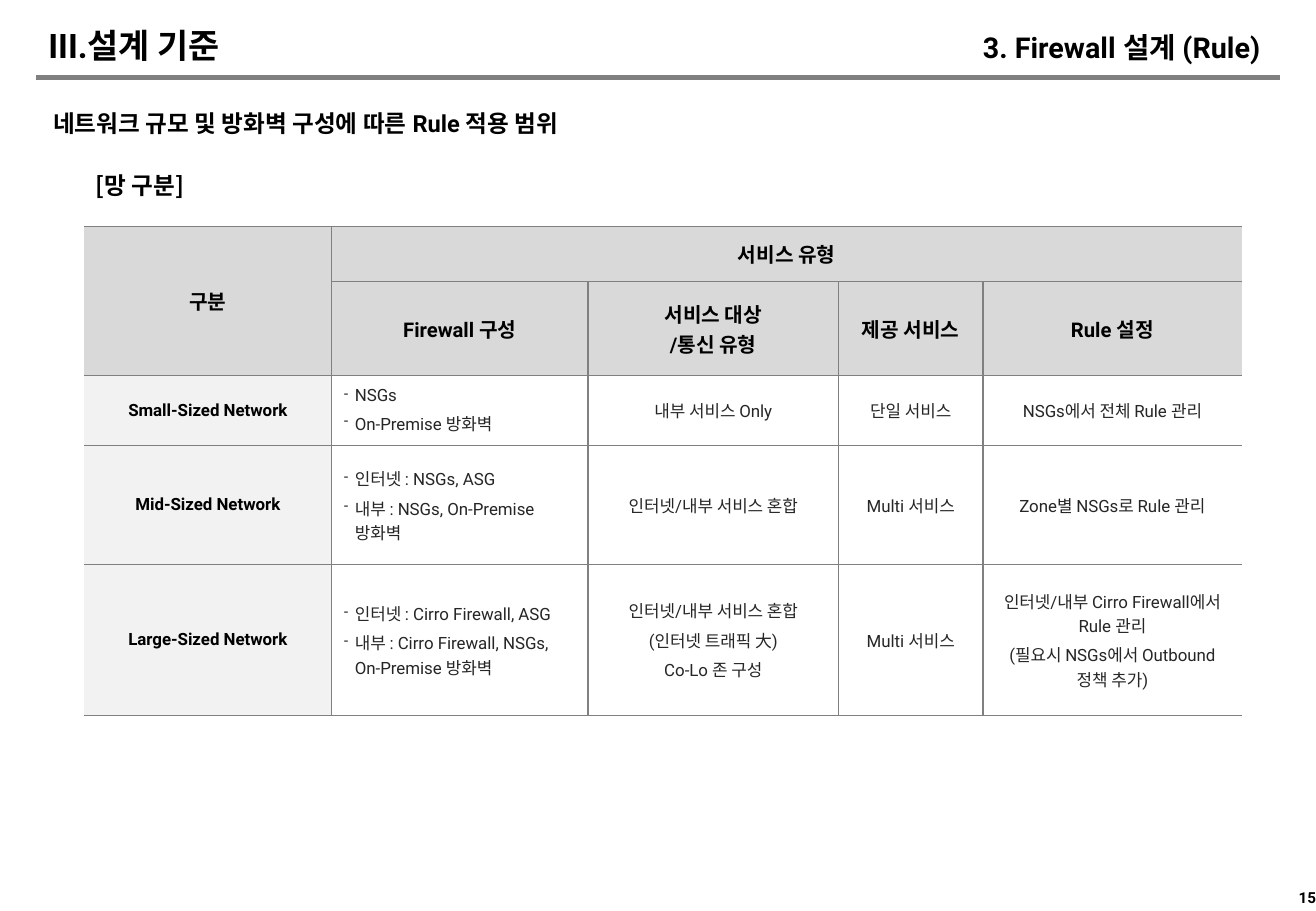
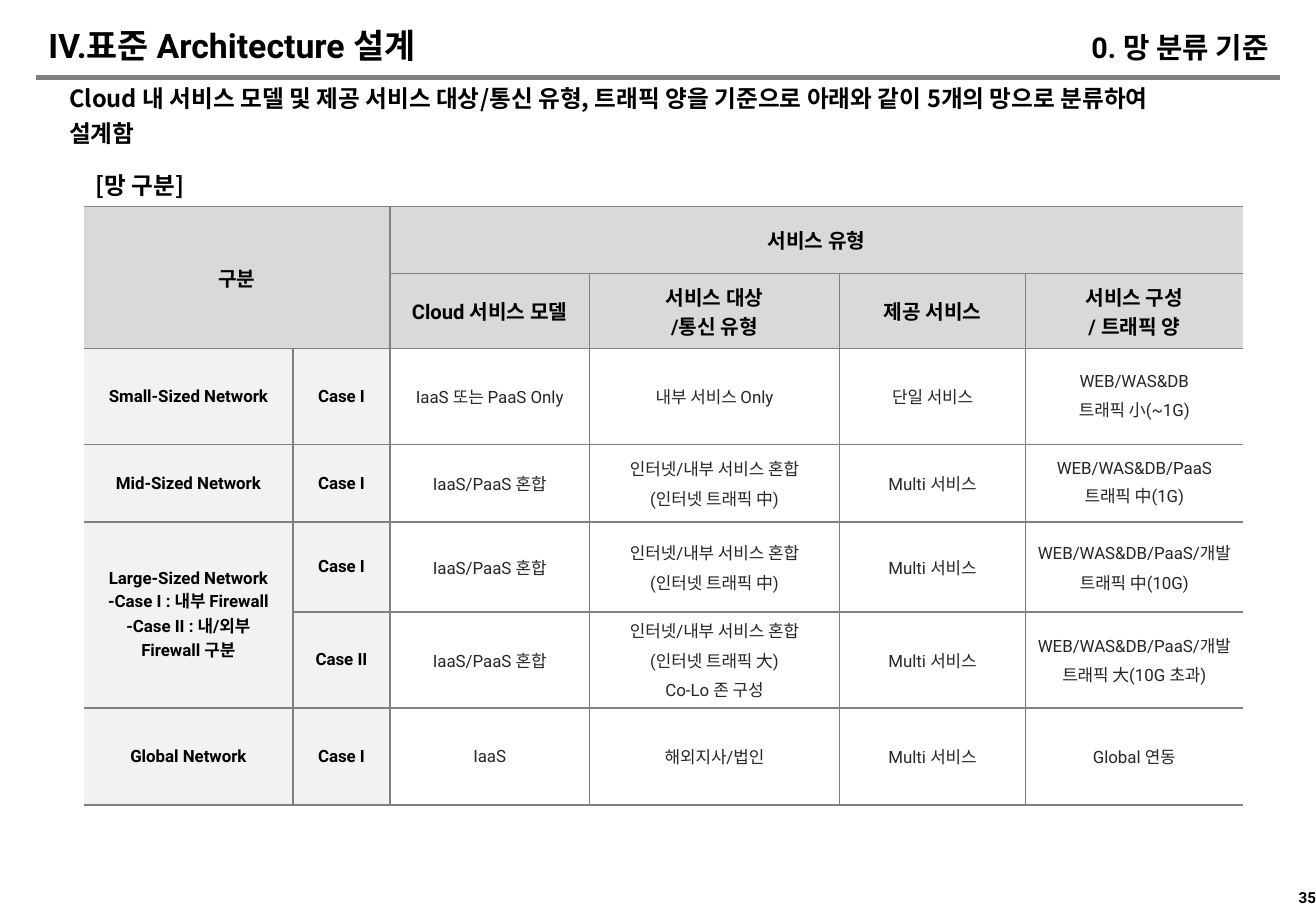
from lxml.etree import SubElement
from pptx import Presentation
from pptx.dml.color import RGBColor
from pptx.enum.shapes import MSO_CONNECTOR
from pptx.enum.text import MSO_ANCHOR, PP_ALIGN
from pptx.oxml import parse_xml
from pptx.oxml.ns import nsdecls, qn
from pptx.util import Inches, Pt

LATIN, HANGUL = "Roboto", "Noto Sans CJK KR"
BLACK, DARK, GRAY = "000000", "262626", "808080"
HEAD, LABEL = "D9D9D9", "F2F2F2"
LEFT, MID, RIGHT = PP_ALIGN.LEFT, PP_ALIGN.CENTER, PP_ALIGN.RIGHT
HEAD_ROWS = 2

MIXED = "인터넷/내부 서비스 혼합"
MULTI = "Multi 서비스"
TARGET = "서비스 대상\n/통신 유형"
SMALL, MEDIUM, LARGE = [f"{size}-Sized Network" for size in ("Small", "Mid", "Large")]

RULES = {
    "title": "III.설계 기준",
    "topic": "3. Firewall 설계 (Rule)",
    "topic_box": (6.79, 0.17, 3.68, 0.44),
    "page": "15",
    "lead": "네트워크 규모 및 방화벽 구성에 따른 Rule 적용 범위",
    "lead_box": (0.34, 0.7, 10.36, 0.63),
    "lead_style": {},
    "top": 1.86,
    "cols": [2.04, 2.11, 2.06, 1.19, 2.13],
    "rows": [0.46, 0.77, 0.58, 0.98, 1.24],
    "labels": 1,
    "bullets": 1,
    "merges": [(0, 0, 1, 0), (0, 1, 0, 4)],
    "cells": [
        ["구분", "서비스 유형", "", "", ""],
        ["", "Firewall 구성", TARGET, "제공 서비스", "Rule 설정"],
        [SMALL, "NSGs\nOn-Premise 방화벽", "내부 서비스 Only", "단일 서비스",
         "NSGs에서 전체 Rule 관리"],
        [MEDIUM, "인터넷 : NSGs, ASG\n내부 : NSGs, On-Premise 방화벽", MIXED, MULTI,
         "Zone별 NSGs로 Rule 관리"],
        [LARGE, "인터넷 : Cirro Firewall, ASG\n내부 : Cirro Firewall, NSGs, On-Premise 방화벽",
         MIXED + "\n(인터넷 트래픽 大)\nCo-Lo 존 구성", MULTI,
         "인터넷/내부 Cirro Firewall에서 Rule 관리\n(필요시 NSGs에서 Outbound 정책 추가)"],
    ],
}

SPACED = {"font": HANGUL, "before": 2, "after": 2, "anchor": MSO_ANCHOR.TOP}

NETS = {
    "title": "IV.표준 Architecture 설계",
    "topic": "0. 망 분류 기준",
    "topic_box": (5.39, 0.17, 5.15, 0.44),
    "page": "35",
    "lead": "Cloud 내 서비스 모델 및 제공 서비스 대상/통신 유형, 트래픽 양을 기준으로 "
            "아래와 같이 5개의 망으로 분류하여\n설계함",
    "lead_box": (0.47, 0.64, 10.15, 0.37),
    "lead_style": SPACED,
    "top": 1.7,
    "cols": [1.72, 0.8, 1.64, 2.06, 1.53, 1.79],
    "rows": [0.55, 0.62, 0.79, 0.64, 0.74, 0.79, 0.8],
    "labels": 2,
    "bullets": None,
    "merges": [(0, 0, 1, 1), (0, 2, 0, 5), (4, 0, 5, 0)],
    "cells": [
        ["구분", "", "서비스 유형", "", "", ""],
        ["", "", "Cloud 서비스 모델", TARGET, "제공 서비스", "서비스 구성\n/ 트래픽 양"],
        [SMALL, "Case I", "IaaS 또는 PaaS Only", "내부 서비스 Only", "단일 서비스",
         "WEB/WAS&DB\n트래픽 小(~1G)"],
        [MEDIUM, "Case I", "IaaS/PaaS 혼합", MIXED + "\n(인터넷 트래픽 中)", MULTI,
         "WEB/WAS&DB/PaaS\n트래픽 中(1G)"],
        [LARGE + "\n-Case I : 내부 Firewall\n-Case II : 내/외부 Firewall 구분", "Case I",
         "IaaS/PaaS 혼합", MIXED + "\n(인터넷 트래픽 中)", MULTI,
         "WEB/WAS&DB/PaaS/개발\n트래픽 中(10G)"],
        ["", "Case II", "IaaS/PaaS 혼합", MIXED + "\n(인터넷 트래픽 大)\nCo-Lo 존 구성", MULTI,
         "WEB/WAS&DB/PaaS/개발\n트래픽 大(10G 초과)"],
        ["Global Network", "Case I", "IaaS", "해외지사/법인", MULTI, "Global 연동"],
    ],
}


def rgb(color):
    return RGBColor.from_string(color)


def write(frame, text, size, color=BLACK, bold=True, align=LEFT, font=LATIN,
          before=0, after=0):
    frame.text = text
    for para in frame.paragraphs:
        para.alignment = align
        para.space_before, para.space_after = Pt(before), Pt(after)
        for run in para.runs:
            run.font.size, run.font.bold, run.font.name = Pt(size), bold, font
            run.font.color.rgb = rgb(color)
            SubElement(run.font._element, qn("a:ea"), typeface=HANGUL)


def add_text(slide, box, text, size, anchor=MSO_ANCHOR.MIDDLE, side=0.1, **style):
    frame = slide.shapes.add_textbox(*map(Inches, box)).text_frame
    frame.word_wrap = True
    frame.vertical_anchor = anchor
    frame.margin_left = frame.margin_right = Inches(side)
    write(frame, text, size, **style)


def add_rule(slide):
    rule = slide.shapes.add_connector(
        MSO_CONNECTOR.STRAIGHT, *map(Inches, (0.3, 0.64, 10.53, 0.64)))
    rule.line.color.rgb, rule.line.width = rgb(GRAY), Pt(3)
    SubElement(rule._element.spPr, qn("a:effectLst"))


def add_dashes(frame):
    for para in frame.paragraphs:
        props = para._p.get_or_add_pPr()
        props.set("marL", str(Inches(0.09)))
        props.set("indent", str(-Inches(0.09)))
        SubElement(props, qn("a:buSzPct"), val="80000")
        SubElement(props, qn("a:buChar"), char="-")


def set_edges(cell, widths):
    """Draw left, right, top and bottom edges; a width of 0 hides one."""
    props = cell._tc.get_or_add_tcPr()
    for spot, (side, width) in enumerate(zip("LRTB", widths)):
        ink = f'<a:solidFill><a:srgbClr val="{GRAY}"/></a:solidFill>' if width else "<a:noFill/>"
        props.insert(spot, parse_xml(
            f'<a:ln{side} {nsdecls("a")} w="{Pt(width)}">{ink}</a:ln{side}>'))


def fill_cell(cell, text, row, col, data):
    head, label = row < HEAD_ROWS, col < data["labels"]
    cell.vertical_anchor = MSO_ANCHOR.MIDDLE
    if head or label:
        cell.fill.solid()
        cell.fill.fore_color.rgb = rgb(HEAD if head else LABEL)
        write(cell.text_frame, text, 12 if head else 10, align=MID)
    else:
        dashed = col == data["bullets"]
        cell.fill.background()
        write(cell.text_frame, text, 10, DARK, False, LEFT if dashed else MID, before=3)
        if dashed:
            add_dashes(cell.text_frame)
    ends = {(top, left): right for top, left, low, right in data["merges"]}
    inner = ends.get((row, col), col) < len(data["cols"]) - 1
    set_edges(cell, (int(col > 0), int(inner), 1 if row else 0.5, 1))


def add_grid(slide, data):
    cols, rows = data["cols"], data["rows"]
    box = (0.69, data["top"], sum(cols), sum(rows))
    table = slide.shapes.add_table(len(rows), len(cols), *map(Inches, box)).table
    table.first_row = table.horz_banding = False
    for col, width in zip(table.columns, cols):
        col.width = Inches(width)
    for row, height in zip(table.rows, rows):
        row.height = Inches(height)
    for r, line in enumerate(data["cells"]):
        for c, text in enumerate(line):
            fill_cell(table.cell(r, c), text, r, c, data)
    for top, left, low, right in data["merges"]:
        table.cell(top, left).merge(table.cell(low, right))


def add_page(deck, data):
    slide = deck.slides.add_slide(deck.slide_layouts[6])
    add_rule(slide)
    add_text(slide, (0.3, 0.15, 5.43, 0.44), data["title"], 20)
    add_text(slide, (10.47, 7.26, 0.36, 0.25), data["page"], 9, side=0, align=RIGHT)
    add_text(slide, data["topic_box"], data["topic"], 17, align=RIGHT)
    add_text(slide, data["lead_box"], data["lead"], 14, **data["lead_style"])
    add_text(slide, (0.69, 1.36, 10.14, 0.37), "[망 구분]", 14, **SPACED)
    add_grid(slide, data)


def main():
    deck = Presentation()
    deck.slide_width, deck.slide_height = Inches(10.83), Inches(7.5)
    for data in (RULES, NETS):
        add_page(deck, data)
    deck.save("out.pptx")


if __name__ == "__main__":
    main()
